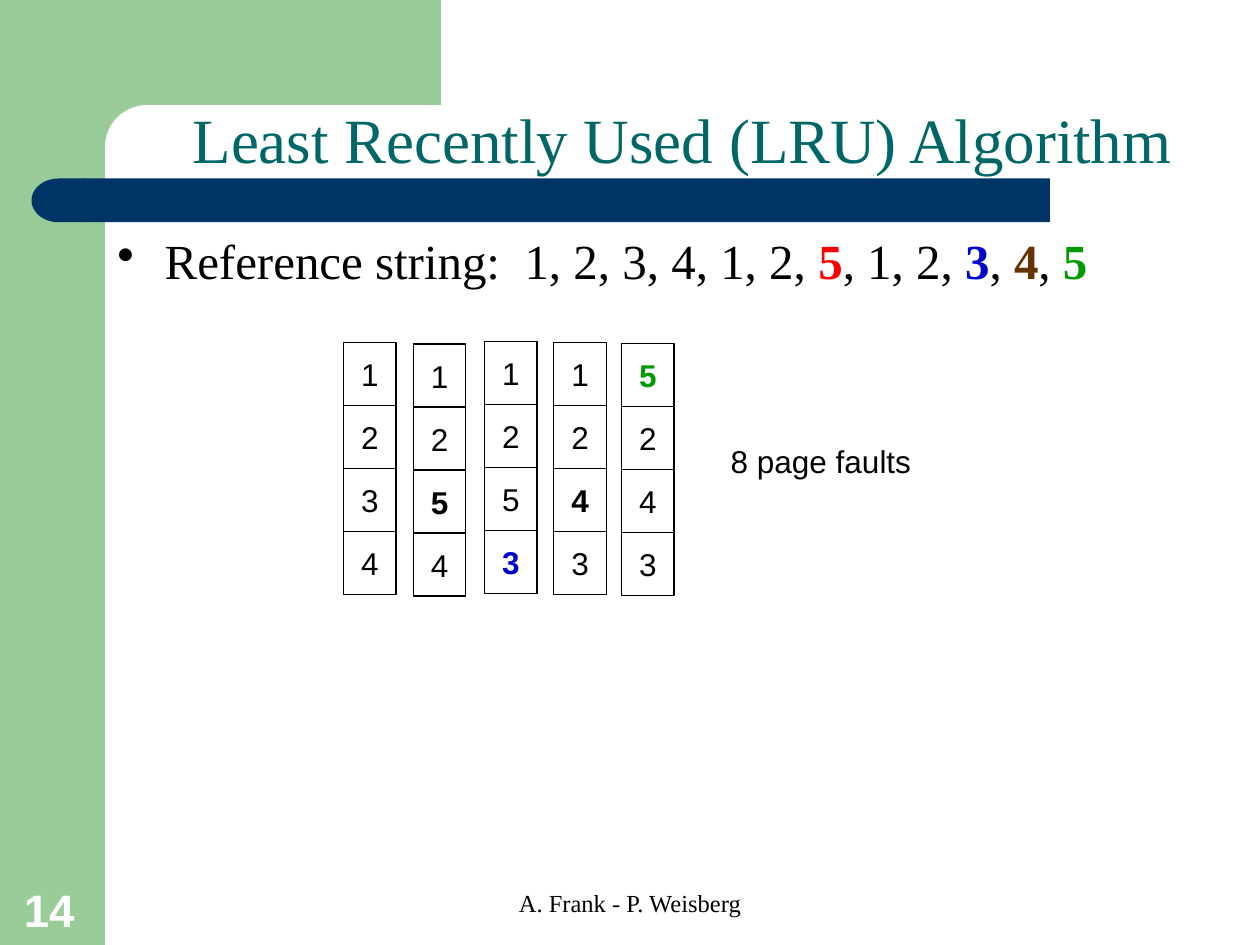
from pptx import Presentation
from pptx.dml.color import RGBColor
from pptx.enum.shapes import MSO_SHAPE
from pptx.enum.text import MSO_ANCHOR, PP_ALIGN
from pptx.oxml.ns import qn
from pptx.util import Pt

RECT, ROUNDED, DELAY = (MSO_SHAPE.RECTANGLE, MSO_SHAPE.ROUNDED_RECTANGLE,
                        MSO_SHAPE.FLOWCHART_DELAY)
TOP, MIDDLE, BOTTOM = MSO_ANCHOR.TOP, MSO_ANCHOR.MIDDLE, MSO_ANCHOR.BOTTOM
LEFT, CENTER = PP_ALIGN.LEFT, PP_ALIGN.CENTER
SERIF, SANS = "Times New Roman", "Arial"

COLORS = {
    "black": "000000", "white": "FFFFFF", "sage": "99CC99", "navy": "003366",
    "teal": "006666", "red": "FF0000", "blue": "0000CC", "brown": "663300",
    "green": "009900",
}

# Content: a run is plain text or (text, color) for bold
TITLE = "Least Recently Used (LRU) Algorithm"
REFERENCE = ["Reference string:  1, 2, 3, 4, 1, 2, ", ("5", "red"), ", 1, 2, ",
             ("3", "blue"), ", ", ("4", "brown"), ", ", ("5", "green")]
RESULT = "8 page faults"
FOOTER = "A. Frank - P. Weisberg"
PAGE_NUMBER = ("14", "white")

# Memory frames after each fault: left, top, pages
FRAME_COLUMNS = [
    (196.4, 195.8, ["1", "2", "3", "4"]),
    (236.2, 196.6, ["1", "2", ("5", "black"), "4"]),
    (277, 195.1, ["1", "2", "5", ("3", "blue")]),
    (316.5, 195.8, ["1", "2", ("4", "black"), "3"]),
    (355.2, 196.2, [("5", "green"), "2", "4", "3"]),
]
FRAME_WIDTH, FRAME_HEIGHT = 30, 36

# Backdrop: preset, left, top, width, height, color, corner, rotation
BACKDROP = [
    (RECT, 0, 0, 60, 540, "sage", None, 0),
    (RECT, 54, 0, 198, 84, "sage", None, 0),
    (ROUNDED, 60, 60, 246, 48, "white", 0.5, 0),
    (RECT, 48, 102, 552, 25, "navy", None, 0),
    (DELAY, 18, 102, 31, 25, "navy", None, 180),
]


def rgb(name):
    return RGBColor.from_string(COLORS[name])


def write(shape, runs, size, font=SANS, color="black", align=CENTER,
          anchor=TOP, wrap=True, bullet_indent=None, line_spacing=None):
    frame = shape.text_frame
    frame.word_wrap = wrap
    frame.vertical_anchor = anchor
    frame.margin_left = frame.margin_right = Pt(7.2)
    frame.margin_top = frame.margin_bottom = Pt(3.6)
    paragraph = frame.paragraphs[0]
    paragraph.alignment = align
    if line_spacing:
        paragraph.line_spacing = line_spacing
    if bullet_indent:
        properties = paragraph._p.get_or_add_pPr()
        properties.set("marL", str(Pt(bullet_indent)))
        properties.set("indent", str(-Pt(bullet_indent)))
        bullet = properties.makeelement(qn("a:buChar"), {"char": "•"})
        properties.append(bullet)
    for part in runs if isinstance(runs, list) else [runs]:
        text, run_color = part if isinstance(part, tuple) else (part, color)
        run = paragraph.add_run()
        run.text = text
        run.font.name = font
        run.font.size = Pt(size)
        run.font.bold = isinstance(part, tuple)
        run.font.color.rgb = rgb(run_color)


def add_block(slide, preset, left, top, width, height, color, outline=None):
    block = slide.shapes.add_shape(preset, Pt(left), Pt(top), Pt(width), Pt(height))
    block.shadow.inherit = False
    block.fill.solid()
    block.fill.fore_color.rgb = rgb(color)
    if outline:
        block.line.color.rgb = rgb(outline)
        block.line.width = Pt(0.75)
    else:
        block.line.fill.background()
    return block


def add_label(slide, left, top, width, height, runs, size, **text_format):
    label = slide.shapes.add_textbox(Pt(left), Pt(top), Pt(width), Pt(height))
    write(label, runs, size, **text_format)


def main():
    deck = Presentation()
    deck.slide_width, deck.slide_height = Pt(720), Pt(540)
    slide = deck.slides.add_slide(deck.slide_layouts[5])

    # Green and navy backdrop
    for preset, left, top, width, height, color, corner, rotation in BACKDROP:
        block = add_block(slide, preset, left, top, width, height, color)
        block.rotation = rotation
        if corner is not None:
            block.adjustments[0] = corner

    # Title, brought in front of the backdrop
    title = slide.shapes.title
    title.left, title.top, title.width, title.height = Pt(60), Pt(56), Pt(660), Pt(48)
    write(title, TITLE, 36, font=SERIF, color="teal", anchor=BOTTOM)
    slide.shapes._spTree.append(title._element)

    # Reference string, result and footer
    add_label(slide, 60, 132.2, 660, 408, REFERENCE, 28, font=SERIF, align=LEFT,
              bullet_indent=27, line_spacing=0.9)
    add_label(slide, 410.4, 249.1, 117.4, 28.8, RESULT, 18, anchor=MIDDLE, wrap=False)
    add_label(slide, 246, 504, 228, 36, FOOTER, 14, font=SERIF)
    add_label(slide, 6.5, 499.7, 46, 38.9, PAGE_NUMBER, 26, align=LEFT, anchor=BOTTOM)

    # Memory frames
    for left, top, pages in FRAME_COLUMNS:
        for row, page in enumerate(pages):
            cell = add_block(slide, RECT, left, top + row * FRAME_HEIGHT,
                             FRAME_WIDTH, FRAME_HEIGHT, "white", outline="black")
            write(cell, page, 18, anchor=MIDDLE, wrap=False)

    deck.save("out.pptx")


if __name__ == "__main__":
    main()
